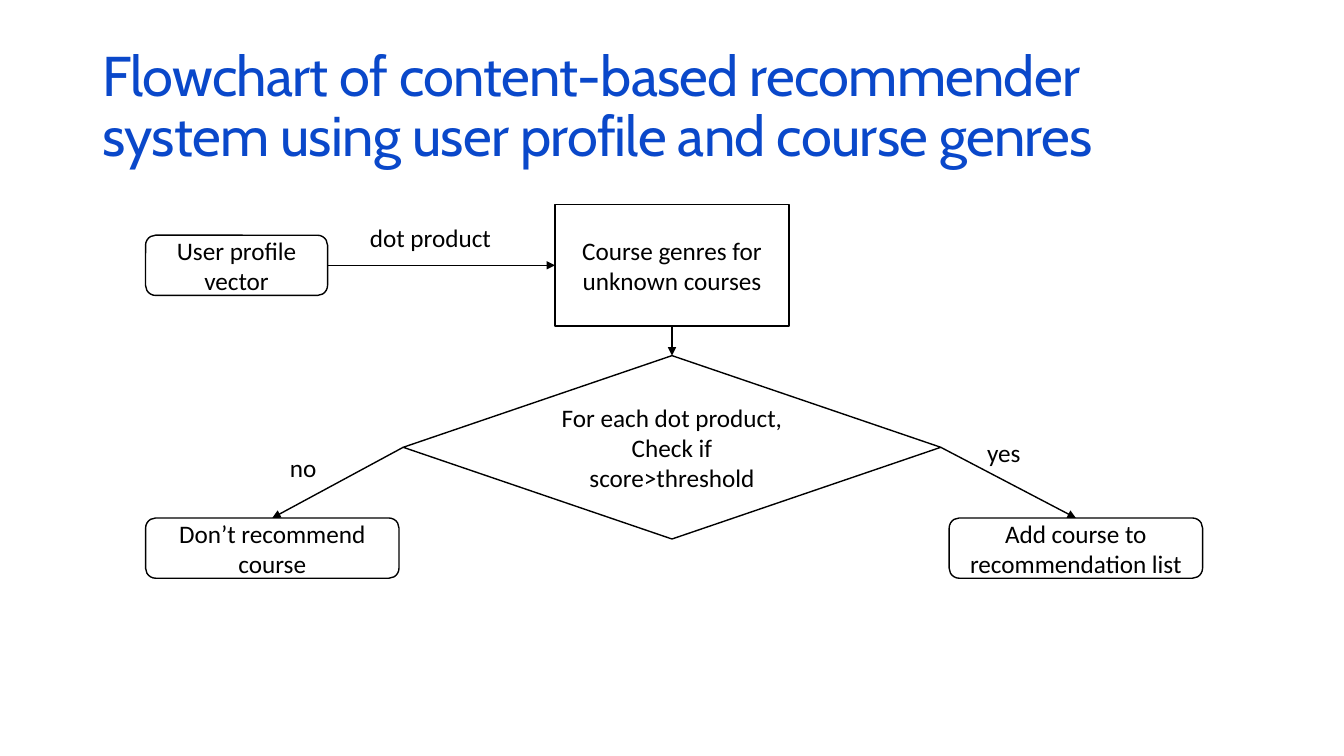
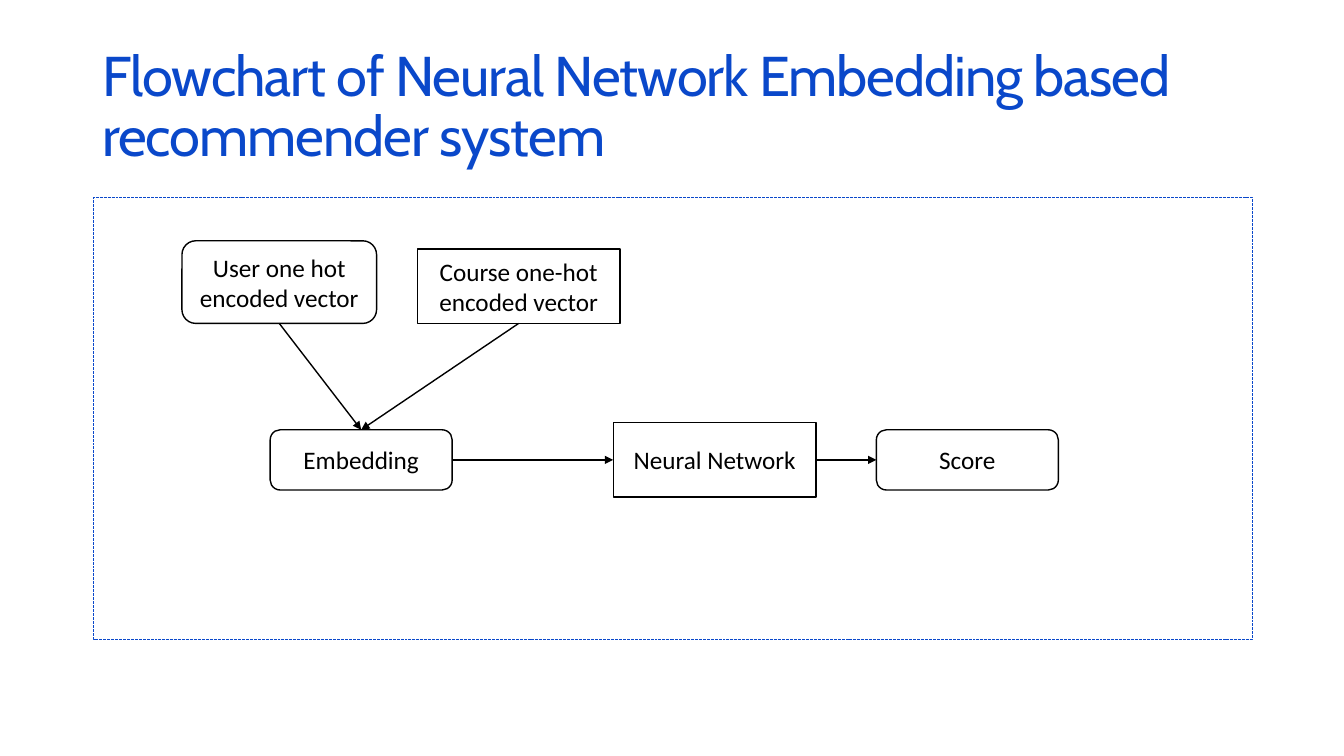
from pptx import Presentation
from pptx.dml.color import RGBColor
from pptx.enum.dml import MSO_LINE
from pptx.enum.shapes import MSO_CONNECTOR, MSO_SHAPE as SHP
from pptx.enum.text import MSO_ANCHOR, PP_ALIGN
from pptx.oxml.ns import qn
from pptx.util import Pt
from lxml.etree import SubElement

BLUE, BLACK = "0A48CA", "000000"
TOP, LEFT, BOTTOM, RIGHT = range(4)
ROUND, RECT, DIAMOND = SHP.ROUNDED_RECTANGLE, SHP.RECTANGLE, SHP.DIAMOND
rgb = RGBColor.from_string


def write(shape, text, font="Calibri", size=18, color=BLACK,
          align=PP_ALIGN.CENTER, wrap=True):
    """Fill a shape with one paragraph and return the paragraph."""
    tf = shape.text_frame
    tf.margin_left = tf.margin_right = tf.margin_top = tf.margin_bottom = 0
    tf.word_wrap = wrap
    p = tf.paragraphs[0]
    p.text = text
    p.alignment = align
    p.font.name, p.font.size = font, Pt(size)
    p.font.color.rgb = rgb(color)
    return p


def outline(s, kind, box, color=BLACK, width=1):
    """Add an unfilled preset shape."""
    sp = s.shapes.add_shape(kind, *map(Pt, box))
    sp.shadow.inherit = False
    sp.fill.background()
    sp.line.color.rgb = rgb(color)
    sp.line.width = Pt(width)
    return sp


# Content: nodes are key: (shape, box, text); arrows are from, side, to, side
slides = [
    dict(
        title="Flowchart of content-based recommender system using user "
              "profile and course genres",
        spacing=-50,
        frame=None,
        nodes={
            "user": (ROUND, (104, 168, 130, 43), "User profile\vvector"),
            "genres": (RECT, (396.5, 146, 167, 87),
                       "Course genres for\vunknown courses"),
            "check": (DIAMOND, (288, 254, 384, 131),
                      "For each dot product,\vCheck if\vscore>threshold"),
            "skip": (ROUND, (104, 370, 181, 43), "Don’t recommend\vcourse"),
            "add": (ROUND, (678, 370, 181, 43),
                    "Add course to\vrecommendation list"),
        },
        arrows=[("user", RIGHT, "genres", LEFT),
                ("genres", BOTTOM, "check", TOP),
                ("check", LEFT, "skip", TOP),
                ("check", RIGHT, "add", TOP)],
        labels=[("dot product", (263, 159, 89, 24)),
                ("yes", (704, 312, 26, 24)),
                ("no", (206, 323, 21, 24))],
    ),
    dict(
        title="Flowchart of Neural Network Embedding based recommender system",
        spacing=-75,
        frame=(67, 141, 828, 316),
        nodes={
            "user": (ROUND, (130, 172, 139, 59), "User one hot\vencoded vector"),
            "course": (RECT, (298, 178, 145, 53),
                       "Course one-hot\vencoded vector"),
            "embedding": (ROUND, (193, 307, 130, 43), "Embedding"),
            "network": (RECT, (438, 302, 145, 53), "Neural Network"),
            "score": (ROUND, (626, 307, 130, 43), "Score"),
        },
        arrows=[("user", BOTTOM, "embedding", TOP),
                ("course", BOTTOM, "embedding", TOP),
                ("embedding", RIGHT, "network", LEFT),
                ("network", RIGHT, "score", LEFT)],
        labels=[],
    ),
]

prs = Presentation()
prs.slide_width, prs.slide_height = Pt(960), Pt(540)

for page in slides:
    s = prs.slides.add_slide(prs.slide_layouts[6])

    # Title
    tb = s.shapes.add_textbox(Pt(73), Pt(33.5), Pt(800), Pt(87))
    p = write(tb, page["title"], "Cabin", 40, BLUE, PP_ALIGN.LEFT)
    p.line_spacing = Pt(43.2)
    p.runs[0]._r.get_or_add_rPr().set("spc", str(page["spacing"]))

    # Dashed frame
    if page["frame"]:
        frame = outline(s, RECT, page["frame"], BLUE, 0.72)
        frame.line.dash_style = MSO_LINE.SQUARE_DOT

    # Nodes
    nodes = {}
    for key, (kind, box, text) in page["nodes"].items():
        sp = nodes[key] = outline(s, kind, box)
        write(sp, text)
        sp.text_frame.vertical_anchor = MSO_ANCHOR.MIDDLE

    # Arrows
    for start, start_side, end, end_side in page["arrows"]:
        c = s.shapes.add_connector(MSO_CONNECTOR.STRAIGHT, 0, 0, 0, 0)
        c.begin_connect(nodes[start], start_side)
        c.end_connect(nodes[end], end_side)
        c.line.color.rgb = rgb(BLACK)
        c.line.width = Pt(1)
        spPr = c._element.spPr
        SubElement(spPr.find(qn("a:ln")), qn("a:tailEnd"), type="triangle")
        SubElement(spPr, qn("a:effectLst"))

    # Arrow labels
    for text, box in page["labels"]:
        write(s.shapes.add_textbox(*map(Pt, box)), text, wrap=False)

prs.save("out.pptx")
